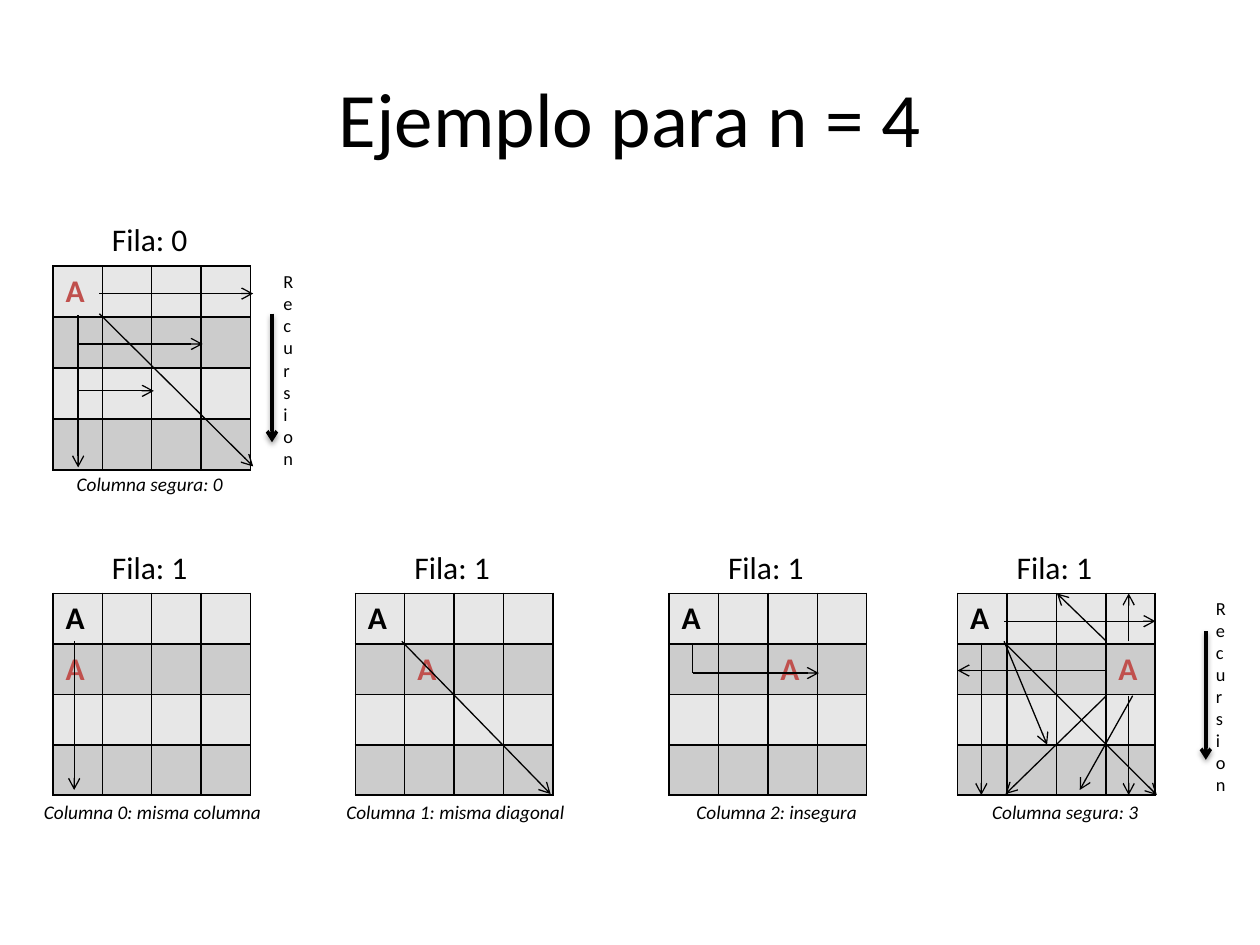
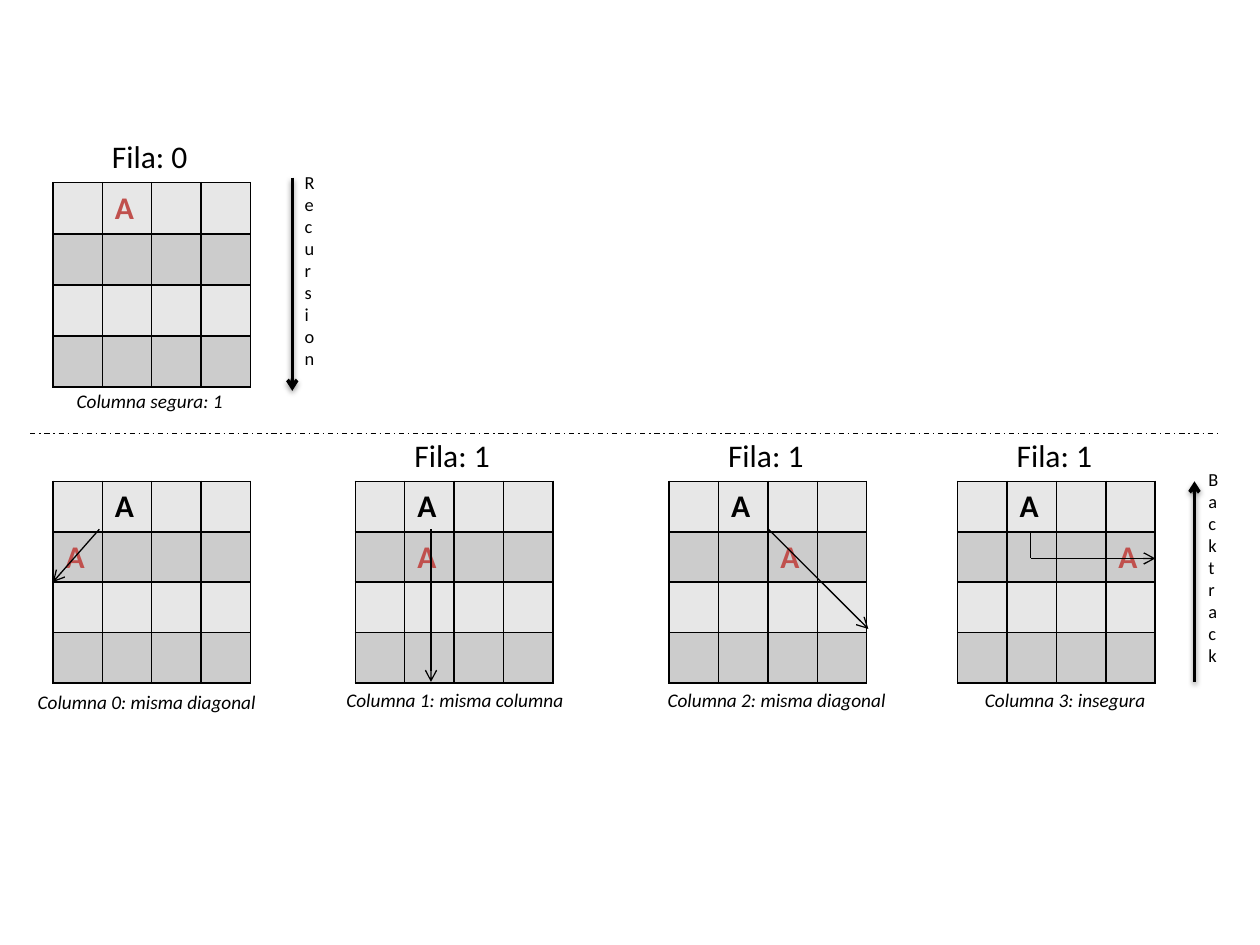
from dataclasses import dataclass

from lxml import etree
from pptx import Presentation
from pptx.dml.color import RGBColor
from pptx.enum.dml import MSO_LINE
from pptx.enum.shapes import MSO_CONNECTOR
from pptx.enum.text import MSO_ANCHOR, MSO_AUTO_SIZE, PP_ALIGN
from pptx.oxml.ns import qn
from pptx.util import Inches, Pt

STRAIGHT = MSO_CONNECTOR.STRAIGHT
DASH_DOT = MSO_LINE.DASH_DOT
LEFT, CENTER = PP_ALIGN.LEFT, PP_ALIGN.CENTER
MIDDLE = MSO_ANCHOR.MIDDLE
FIT_SHAPE = MSO_AUTO_SIZE.SHAPE_TO_FIT_TEXT
TITLE_ONLY, BLANK = 5, 6

SIZE = 4
CELL_WIDTH = 1.57 / SIZE
CELL_HEIGHT = 0.4
BOARD_LEFTS = (0.42, 2.82, 5.31, 7.6)


@dataclass(frozen=True)
class Theme:
    font: str = "Calibri"
    ink: RGBColor = RGBColor(0x00, 0x00, 0x00)
    new_queen: RGBColor = RGBColor(0xC0, 0x50, 0x4D)
    rows: tuple = (RGBColor(0xE7, 0xE7, 0xE7), RGBColor(0xCC, 0xCC, 0xCC))
    title: float = 44
    heading: float = 18
    caption: float = 11
    vertical: float = 10.5
    border: float = 1
    thin: float = 0.75
    thick: float = 2


THEME = Theme()


@dataclass(frozen=True)
class Board:
    slide: object
    left: float
    top: float

    def point(self, column, row):
        return self.left + column * CELL_WIDTH, self.top + row * CELL_HEIGHT


def add_run(paragraph, text, size, color=THEME.ink, bold=False, italic=False):
    run = paragraph.add_run()
    run.text = text
    font = run.font
    font.name, font.size = THEME.font, Pt(size)
    font.bold, font.italic = bold, italic
    font.color.rgb = color


def add_label(slide, text, box, size, align=LEFT, italic=False):
    shape = slide.shapes.add_textbox(*map(Inches, box))
    frame = shape.text_frame
    frame.word_wrap = True
    frame.auto_size = FIT_SHAPE
    frame.paragraphs[0].alignment = align
    add_run(frame.paragraphs[0], text, size, italic=italic)
    return shape


def set_title(slide, text):
    title = slide.shapes.title
    title.left, title.top, title.width, title.height = map(Inches, (0.5, 0.3, 9, 1.25))
    title.text_frame.vertical_anchor = MIDDLE
    paragraph = title.text_frame.paragraphs[0]
    paragraph.alignment = CENTER
    add_run(paragraph, text, THEME.title)


def add_border(cell):
    properties = cell._tc.get_or_add_tcPr()
    for position, side in enumerate(("a:lnL", "a:lnR", "a:lnT", "a:lnB")):
        line = etree.Element(qn(side), w=str(Pt(THEME.border)))
        fill = etree.SubElement(line, qn("a:solidFill"))
        etree.SubElement(fill, qn("a:srgbClr"), val=str(THEME.ink))
        properties.insert(position, line)


def add_board(slide, left, top, queens, heading=None):
    table = slide.shapes.add_table(
        SIZE, SIZE, Inches(left), Inches(top),
        Inches(SIZE * CELL_WIDTH), Inches(SIZE * CELL_HEIGHT)).table
    table.first_row = table.horz_banding = False
    for row in range(SIZE):
        for column in range(SIZE):
            cell = table.cell(row, column)
            cell.fill.solid()
            cell.fill.fore_color.rgb = THEME.rows[row % 2]
            add_border(cell)
    newest = len(queens) - 1
    for row, column in enumerate(queens):
        color = THEME.new_queen if row == newest else THEME.ink
        paragraph = table.cell(row, column).text_frame.paragraphs[0]
        add_run(paragraph, "A", THEME.heading, color, bold=True)
    if heading:
        add_label(slide, heading, (left + 0.37, top - 0.41, 1.02, 0.4), THEME.heading)
    return Board(slide, left, top)


def add_caption(board, text, align=LEFT, shift=-0.17, drop=1.59, width=2.05):
    box = (board.left + shift, board.top + drop, width, 0.29)
    add_label(board.slide, text, box, THEME.caption, align, italic=True)


def add_safe_caption(board, text):
    add_caption(board, text, shift=0.09, width=1.42)


def add_shadow(effects):
    shadow = etree.SubElement(
        effects, qn("a:outerShdw"), blurRad=str(Pt(3.1)), dist=str(Pt(1.6)),
        dir="5400000", rotWithShape="0")
    color = etree.SubElement(shadow, qn("a:srgbClr"), val=str(THEME.ink))
    etree.SubElement(color, qn("a:alpha"), val="38000")


def add_line(slide, start, end, width=THEME.thin, arrow=True, shadow=False, dash=None):
    connector = slide.shapes.add_connector(STRAIGHT, *map(Inches, (*start, *end)))
    line = connector.line
    line.color.rgb = THEME.ink
    line.width = Pt(width)
    if dash:
        line.dash_style = dash
    if arrow:
        etree.SubElement(line._get_or_add_ln(), qn("a:tailEnd"), type="arrow")
    effects = etree.SubElement(connector._element.spPr, qn("a:effectLst"))
    if shadow:
        add_shadow(effects)


def add_attacks(board, *attacks):
    for column, row, end_column, end_row in attacks:
        add_line(board.slide, board.point(column, row), board.point(end_column, end_row))


def add_elbow_attack(board, column, row, end_column, end_row):
    corner = board.point(column, end_row)
    add_line(board.slide, board.point(column, row), corner, arrow=False)
    add_line(board.slide, corner, board.point(end_column, end_row))


def add_step(board, text, column, start_row, end_row, text_column, text_row):
    add_line(board.slide, board.point(column, start_row), board.point(column, end_row),
             THEME.thick, shadow=True)
    box = (*board.point(text_column, text_row), 0.41, 2.28)
    label = add_label(board.slide, text, box, THEME.vertical)
    label.text_frame._txBody.bodyPr.set("vert", "wordArtVert")


def build_first_branch(presentation):
    slide = presentation.slides.add_slide(presentation.slide_layouts[TITLE_ONLY])
    set_title(slide, "Ejemplo para n = 4")

    root = add_board(slide, BOARD_LEFTS[0], 2.11, (0,), "Fila: 0")
    add_safe_caption(root, "Columna segura: 0")
    add_attacks(root, (0.94, 0.95, 4.05, 3.98), (0.51, 0.98, 0.51, 4),
                (0.94, 0.55, 4.05, 0.55), (0.51, 1.55, 3.03, 1.55),
                (0.51, 2.48, 2.04, 2.48))
    add_step(root, "Recursion", 4.43, 0.95, 3.5, 4.41, -0.03)

    same_column, same_diagonal, unsafe, safe = [
        add_board(slide, left, 4.71, (0, column), "Fila: 1")
        for column, left in enumerate(BOARD_LEFTS)]
    add_caption(same_column, "Columna 0: misma columna")
    add_attacks(same_column, (0.43, 0.95, 0.43, 3.9))
    add_caption(same_diagonal, "Columna 1: misma diagonal")
    add_attacks(same_diagonal, (0.94, 0.95, 3.95, 3.98))
    add_caption(unsafe, "Columna 2: insegura", CENTER)
    add_elbow_attack(unsafe, 0.48, 1, 3.03, 1.58)
    add_caption(safe, "Columna segura: 3", CENTER)
    add_attacks(safe, (0.94, 0.55, 4, 0.55), (0.48, 0.98, 0.48, 4),
                (3.01, 1.53, 0, 1.53), (0.97, 1, 4.03, 4),
                (3.01, 2.03, 0.97, 3.98), (3.46, 2.03, 3.46, 4),
                (3.46, 0.95, 3.46, 0), (3.01, 0.95, 2.01, 0),
                (0.94, 0.95, 1.81, 3), (3.54, 2.03, 2.47, 3.9))
    add_step(safe, "Recursion", 5.02, 0.75, 3.3, 4.97, -0.05)


def build_second_branch(presentation):
    slide = presentation.slides.add_slide(presentation.slide_layouts[BLANK])

    root = add_board(slide, BOARD_LEFTS[0], 1.45, (1,), "Fila: 0")
    add_safe_caption(root, "Columna segura: 1")
    add_step(root, "Recursion", 4.84, -0.1, 4.13, 4.84, -0.35)
    add_line(slide, (0.24, 3.44), (9.69, 3.44), arrow=False, dash=DASH_DOT)

    left_diagonal, same_column, right_diagonal, unsafe = [
        add_board(slide, left, 3.82, (1, column), "Fila: 1" if column else None)
        for column, left in enumerate(BOARD_LEFTS)]
    add_caption(left_diagonal, "Columna 0: misma diagonal", shift=-0.22, drop=1.61)
    add_attacks(left_diagonal, (0.94, 0.95, 0, 2))
    add_caption(same_column, "Columna 1: misma columna")
    add_attacks(same_column, (1.53, 0.95, 1.53, 3.98))
    add_caption(right_diagonal, "Columna 2: misma diagonal", CENTER)
    add_attacks(right_diagonal, (2.01, 0.95, 4.03, 2.93))
    add_caption(unsafe, "Columna 3: insegura", CENTER)
    add_elbow_attack(unsafe, 1.48, 1.03, 4, 1.53)
    add_step(unsafe, "Backtrack", 4.79, 3.98, 0, 4.82, -0.38)


def main():
    presentation = Presentation()
    presentation.slide_width = Inches(10)
    presentation.slide_height = Inches(7.5)
    build_first_branch(presentation)
    build_second_branch(presentation)
    presentation.save("out.pptx")


if __name__ == "__main__":
    main()
